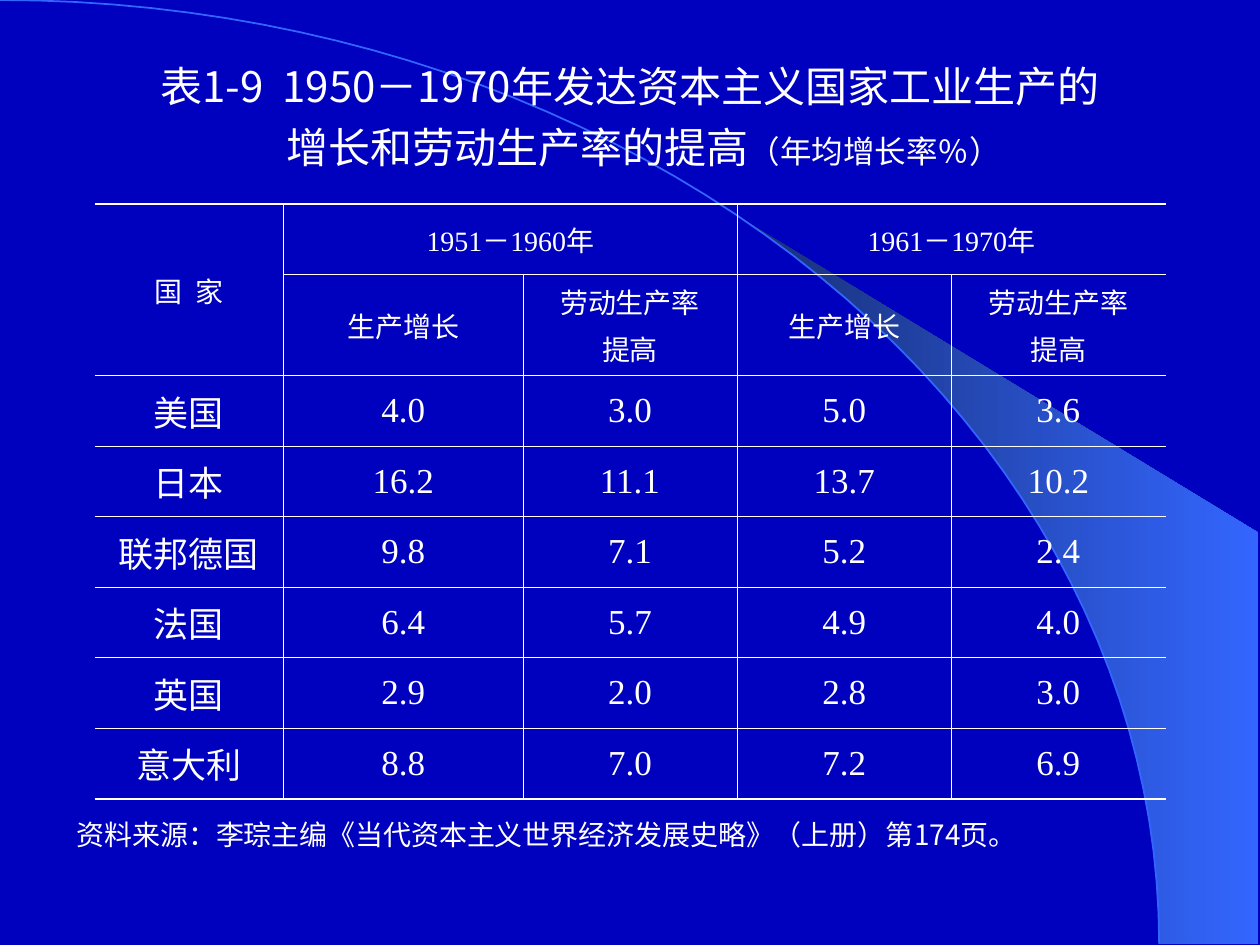
import math

from lxml import etree
from pptx import Presentation
from pptx.dml.color import RGBColor
from pptx.enum.text import MSO_ANCHOR, PP_ALIGN
from pptx.oxml.ns import qn
from pptx.util import Inches, Pt

CENTER, LEFT = PP_ALIGN.CENTER, PP_ALIGN.LEFT
MIDDLE, TOP = MSO_ANCHOR.MIDDLE, MSO_ANCHOR.TOP

COLORS = {
    "background": "0000BF",
    "arc": "3366FF",
    "wedge_dark": "182F76",
    "text": "FFFFFF",
    "border": "FFFFFF",
}
SANS, SERIF = "Noto Sans CJK SC", "Times New Roman"
THIN, THICK = 0.45, 1.08

COLUMN_WIDTHS = [1.5, 1.9, 1.7, 1.7, 1.7]
ROW_HEIGHTS = [0.56, 0.8] + [0.56] * 6
PERIODS = ["1951－1960", "1961－1970"]
MEASURES = [["生产增长"], ["劳动生产率", "提高"]]
GROWTH_RATES = [
    ("美国", "4.0", "3.0", "5.0", "3.6"),
    ("日本", "16.2", "11.1", "13.7", "10.2"),
    ("联邦德国", "9.8", "7.1", "5.2", "2.4"),
    ("法国", "6.4", "5.7", "4.9", "4.0"),
    ("英国", "2.9", "2.0", "2.8", "3.0"),
    ("意大利", "8.8", "7.0", "7.2", "6.9"),
]


def rgb(name):
    return RGBColor.from_string(COLORS[name])


def style_paragraph(paragraph, size, font_name=SANS, alignment=CENTER):
    paragraph.alignment = alignment
    font = paragraph.font
    font.size = Pt(size)
    font.color.rgb = rgb("text")
    font.name = font_name
    properties = paragraph._p.pPr.find(qn("a:defRPr"))
    etree.SubElement(properties, qn("a:ea"), typeface=SANS)


def add_text_box(slide, left, top, width, height, anchor):
    box = slide.shapes.add_textbox(
        Inches(left), Inches(top), Inches(width), Inches(height))
    frame = box.text_frame
    frame.word_wrap = True
    frame.vertical_anchor = anchor
    return frame


def add_outline(slide, points, close):
    points = [(Inches(x), Inches(y)) for x, y in points]
    builder = slide.shapes.build_freeform(*points[0])
    builder.add_line_segments(points[1:], close=close)
    shape = builder.convert_to_shape()
    shape.shadow.inherit = False
    return shape


def add_backdrop(slide, width, height):
    """Quarter ellipse from the top left corner, with a glowing wedge outside it."""
    def arc(start, steps=48):
        angles = [start + (math.pi / 2 - start) * i / steps
                  for i in range(steps + 1)]
        return [(width * math.sin(a), height * (1 - math.cos(a)))
                for a in angles]

    # Wedge between the ellipse and the right edge
    wedge_start = math.asin(5.89 / width)
    wedge = add_outline(
        slide, arc(wedge_start) + [(9.99, height), (9.99, 4.23)], True)
    wedge.fill.gradient()
    wedge.fill.gradient_angle = 0
    for stop, name in zip(wedge.fill.gradient_stops, ("wedge_dark", "arc")):
        stop.color.rgb = rgb(name)
    wedge.line.fill.background()

    # Thin arc
    curve = add_outline(slide, arc(0), False)
    curve.fill.background()
    curve.line.color.rgb = rgb("arc")
    curve.line.width = Pt(1)


def add_title(slide, left, top, width, height):
    frame = add_text_box(slide, left, top, width, height, MIDDLE)
    first, second = frame.paragraphs[0], frame.add_paragraph()
    first.add_run().text = "表1-9  1950－1970年发达资本主义国家工业生产的"
    second.add_run().text = "增长和劳动生产率的提高"
    unit = second.add_run()
    unit.text = "（年均增长率％）"
    for paragraph in (first, second):
        style_paragraph(paragraph, 24)
        paragraph.line_spacing = 1.2
    unit.font.size = Pt(18)
    second._p.pPr.set("marL", str(Inches(0.22)))


def set_borders(cell, widths):
    """Widths in points for left, right, top and bottom; 0 means no line."""
    properties = cell._tc.get_or_add_tcPr()
    for index, (side, width) in enumerate(zip("LRTB", widths)):
        line = etree.Element(qn(f"a:ln{side}"), w=str(Pt(width)))
        if width:
            fill = etree.SubElement(line, qn("a:solidFill"))
            etree.SubElement(fill, qn("a:srgbClr"), val=COLORS["border"])
        else:
            etree.SubElement(line, qn("a:noFill"))
        properties.insert(index, line)


def fill_cell(cell, lines, size, font_name=SANS):
    frame = cell.text_frame
    frame.text = "\n".join(lines)
    for index, paragraph in enumerate(frame.paragraphs):
        style_paragraph(paragraph, size, font_name)
        if index:
            paragraph.space_before = Pt(4)


def add_growth_table(slide, left, top, width, height):
    rows, columns = len(ROW_HEIGHTS), len(COLUMN_WIDTHS)
    table = slide.shapes.add_table(
        rows, columns, Inches(left), Inches(top),
        Inches(width), Inches(height)).table
    table.first_row = table.horz_banding = False
    for column, column_width in zip(table.columns, COLUMN_WIDTHS):
        column.width = Inches(column_width)
    for row, row_height in zip(table.rows, ROW_HEIGHTS):
        row.height = Inches(row_height)

    # Open sides, heavier top and bottom rules
    for r in range(rows):
        # The last period heading spans two columns
        last_column = columns - 1 if r else columns - 2
        for c in range(columns):
            cell = table.cell(r, c)
            cell.fill.background()
            cell.vertical_anchor = MIDDLE
            set_borders(cell, (
                THIN if c else 0,
                THIN if c < last_column else 0,
                THIN if r else THICK,
                THIN if r < rows - 1 else THICK))

    # Two-level header
    table.cell(0, 0).merge(table.cell(1, 0))
    fill_cell(table.cell(0, 0), ["国  家"], 16)
    for index, period in enumerate(PERIODS):
        c = 1 + 2 * index
        cell = table.cell(0, c)
        cell.merge(table.cell(0, c + 1))
        fill_cell(cell, [period], 16, SERIF)
        year = cell.text_frame.paragraphs[0].add_run()
        year.text = "年"
        year.font.name = SANS
        for offset, lines in enumerate(MEASURES):
            fill_cell(table.cell(1, c + offset), lines, 16)

    # Countries and rates
    for r, record in enumerate(GROWTH_RATES, start=2):
        for c, value in enumerate(record):
            fill_cell(table.cell(r, c), [value], 20, SERIF if c else SANS)


def add_source_note(slide, left, top, width, height):
    paragraph = add_text_box(slide, left, top, width, height, TOP).paragraphs[0]
    paragraph.text = "资料来源：李琮主编《当代资本主义世界经济发展史略》（上册）第174页。"
    style_paragraph(paragraph, 16, alignment=LEFT)


def main():
    presentation = Presentation()
    presentation.slide_width = Inches(10)
    presentation.slide_height = Inches(7.5)
    slide = presentation.slides.add_slide(presentation.slide_layouts[6])
    slide.background.fill.solid()
    slide.background.fill.fore_color.rgb = rgb("background")

    add_backdrop(slide, 9.2, 7.49)
    add_title(slide, 0.75, 0.44, 8.5, 0.88)
    add_growth_table(slide, 0.75, 1.62, 8.5, sum(ROW_HEIGHTS))
    add_source_note(slide, 0.51, 6.44, 7.8, 0.37)
    presentation.save("out.pptx")


if __name__ == "__main__":
    main()
